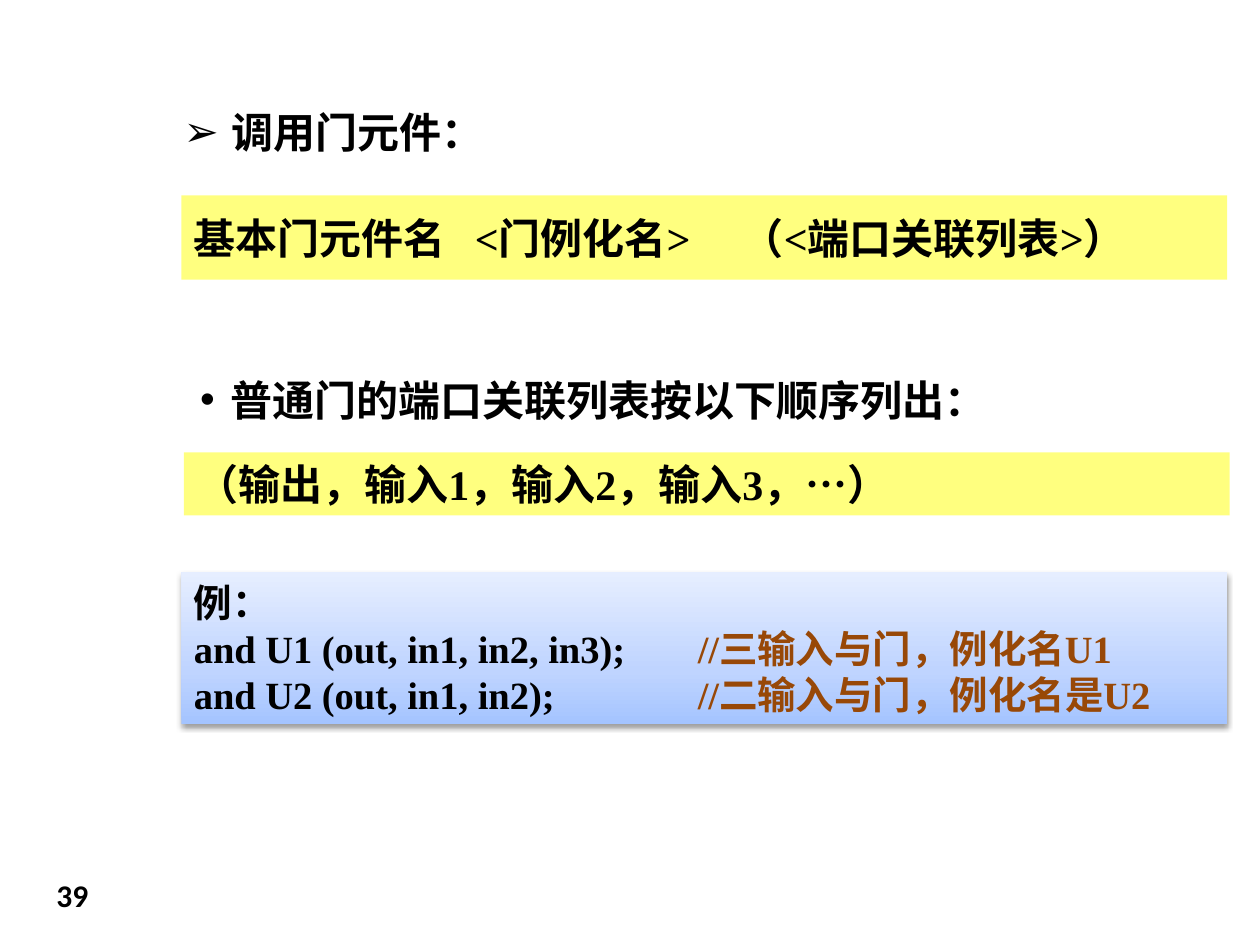
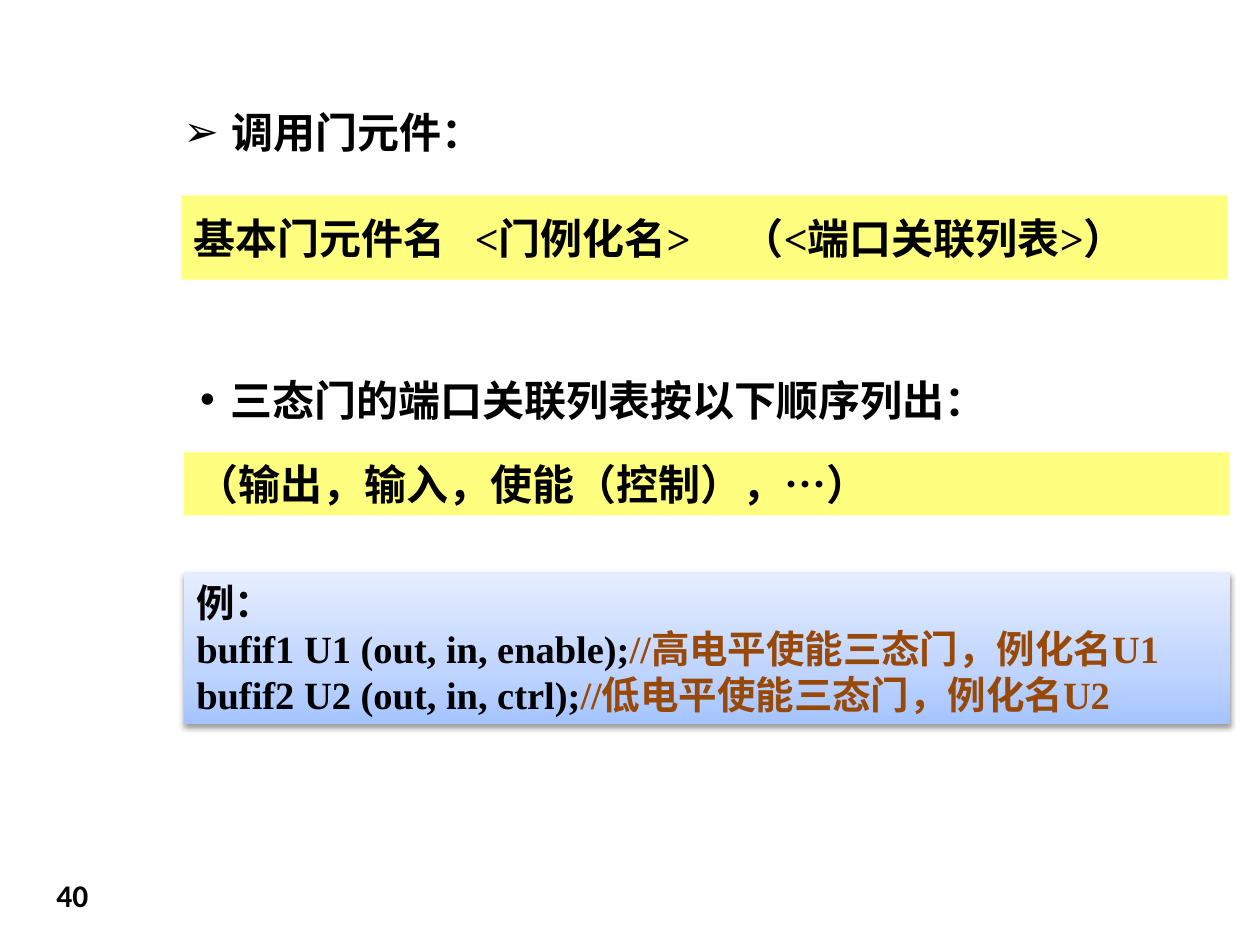
from lxml.etree import fromstring
from pptx import Presentation
from pptx.dml.color import RGBColor
from pptx.enum.shapes import MSO_SHAPE
from pptx.enum.text import MSO_ANCHOR
from pptx.oxml.ns import nsdecls, qn
from pptx.util import Inches, Pt

BLACK, BROWN, YELLOW = "000000", "984807", "FFFF00"
BLUES = [(0, "A4C4FF"), (35, "BFD4FF"), (100, "E6EEFF")]

prs = Presentation()
prs.slide_width, prs.slide_height = Inches(10), Inches(7.5)
COL, ROW = prs.slide_width / 100, prs.slide_height / 75


def xml(tag, attrs="", inner=""):
    return fromstring(f'<a:{tag} {nsdecls("a")} {attrs}>{inner}</a:{tag}>')


def write(sp, lines, size=24, name="Times New Roman", bullet=None, indent=(0, 0), tabs=(), **spacing):
    tf = sp.text_frame
    tf.word_wrap = True
    for i, line in enumerate(lines):
        p = tf.paragraphs[0] if i == 0 else tf.add_paragraph()
        for key, value in spacing.items():
            setattr(p, key, value)
        pPr = p._p.get_or_add_pPr()
        pPr.set("algn", "l")
        if bullet:
            pPr.set("marL", str(Inches(indent[0])))
            pPr.set("indent", str(Inches(indent[1])))
            pPr.append(xml("buClr", inner=f'<a:srgbClr val="{BLACK}"/>'))
            pPr.append(xml("buFont", 'typeface="Arial"'))
            pPr.append(xml("buChar", f'char="{bullet}"'))
        if tabs:
            stops = "".join(f'<a:tab pos="{Inches(t)}" algn="l"/>' for t in tabs)
            pPr.append(xml("tabLst", inner=stops))
        for text, color in line:
            r = p.add_run()
            r.text = text
            for key, value in dict(size=Pt(size), name=name, bold=True).items():
                setattr(r.font, key, value)
            r.font.color.rgb = RGBColor.from_string(color)


slides = [
    (39, "普通门", "（输出，输入1，输入2，输入3，…）", 14.4,
     [("and U1 (out, in1, in2, in3);\t", "//三输入与门，例化名U1"),
      ("and U2 (out, in1, in2);\t", "//二输入与门，例化名是U2")]),
    (40, "三态门", "（输出，输入，使能（控制），…）", 14.6,
     [("bufif1 U1 (out, in, enable);", "//高电平使能三态门，例化名U1"),
      ("bufif2 U2 (out, in, ctrl);", "//低电平使能三态门，例化名U2")]),
]

for number, gate, ports, example_col, code in slides:
    shapes = prs.slides.add_slide(prs.slide_layouts[6]).shapes

    bands = [
        (14.4, 15.5, 6.7, "基本门元件名\t<门例化名>\t（<端口关联列表>）", (2.23, 4.35)),
        (14.6, 35.9, 5, ports, ()),
    ]
    for col, row, rows, text, tabs in bands:
        sp = shapes.add_shape(MSO_SHAPE.RECTANGLE, int(col * COL), int(row * ROW), int(83 * COL), int(rows * ROW))
        sp.shadow.inherit = False
        sp.line.fill.background()
        sp.fill.solid()
        sp.fill.fore_color.rgb = RGBColor.from_string(YELLOW)
        sp.fill._xPr.find(".//" + qn("a:srgbClr")).append(xml("alpha", 'val="50000"'))
        sp.text_frame.vertical_anchor = MSO_ANCHOR.MIDDLE
        write(sp, [[(text, BLACK)]], tabs=tabs, space_after=Pt(12))

    headings = [
        (13.6, 7.6, 83.8, "调用门元件：", "➢", (0.38, -0.38)),
        (11.4, 28.8, 70.2, gate + "的端口关联列表按以下顺序列出：", "•", (0.59, -0.24)),
    ]
    for col, row, cols, text, bullet, indent in headings:
        sp = shapes.add_textbox(int(col * COL), int(row * ROW), int(cols * COL), int(5.1 * ROW))
        write(sp, [[(text, BLACK)]], bullet=bullet, indent=indent, line_spacing=1.1, space_after=Pt(6))

    sp = shapes.add_shape(MSO_SHAPE.RECTANGLE, int(example_col * COL), int(45.4 * ROW), int(83 * COL), int(12.1 * ROW))
    sp.line.fill.background()
    stops = "".join(f'<a:gs pos="{at * 1000}"><a:srgbClr val="{c}"/></a:gs>' for at, c in BLUES)
    sp._element.spPr.find(qn("a:prstGeom")).addnext(
        xml("gradFill", 'rotWithShape="1"', f'<a:gsLst>{stops}</a:gsLst><a:lin ang="16200000" scaled="0"/>'))
    shadow = (f'<a:outerShdw blurRad="{Pt(3.1)}" dist="{Pt(1.6)}" dir="5400000" rotWithShape="0">'
              f'<a:srgbClr val="{BLACK}"><a:alpha val="38000"/></a:srgbClr></a:outerShdw>')
    sp._element.spPr.append(xml("effectLst", inner=shadow))
    sp.text_frame.vertical_anchor = MSO_ANCHOR.MIDDLE
    lines = [[("例：", BLACK)]] + [[(call, BLACK), (note, BROWN)] for call, note in code]
    write(sp, lines, size=22, tabs=(4,))

    sp = shapes.add_textbox(int(3.5 * COL), int(69 * ROW), int(6.3 * COL), int(4.5 * ROW))
    write(sp, [[(str(number), BLACK)]], size=18, name="Calibri")

prs.save("out.pptx")
